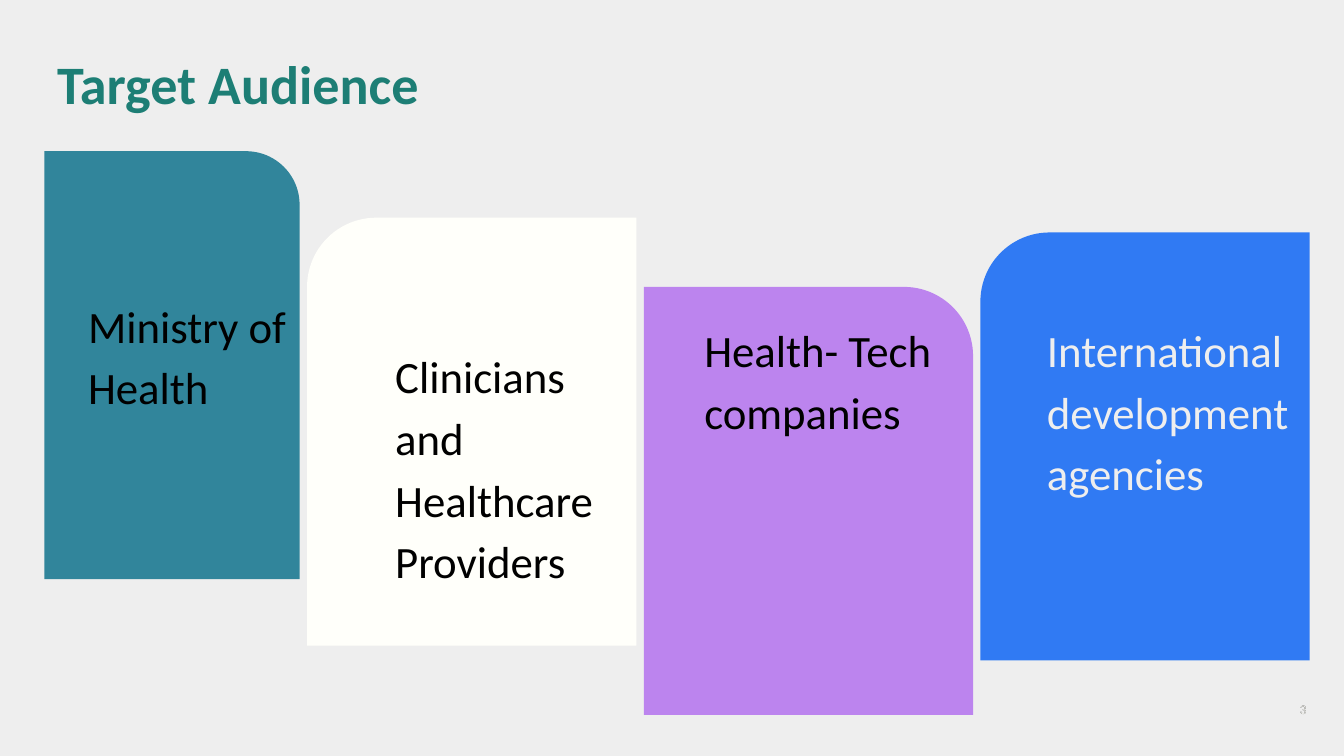
"""Build the Target Audience slide with four staggered audience cards."""
from typing import NamedTuple

from pptx import Presentation
from pptx.dml.color import RGBColor
from pptx.enum.shapes import MSO_SHAPE
from pptx.enum.text import MSO_ANCHOR, MSO_AUTO_SIZE, PP_ALIGN
from pptx.oxml.ns import qn
from pptx.util import Emu, Pt

EMU_PER_PX = 4572
FONT = "Calibri"
CARD_SHAPE = MSO_SHAPE.ROUND_1_RECTANGLE
TOP, MIDDLE = MSO_ANCHOR.TOP, MSO_ANCHOR.MIDDLE
LEFT, RIGHT = PP_ALIGN.LEFT, PP_ALIGN.RIGHT
NO_AUTOFIT = MSO_AUTO_SIZE.NONE

PAGE_GREY = RGBColor(0xEE, 0xEE, 0xEE)
BLACK = RGBColor(0x00, 0x00, 0x00)
GREEN = RGBColor(0x1D, 0x7E, 0x75)
TEAL = RGBColor(0x31, 0x85, 0x9B)
IVORY = RGBColor(0xFF, 0xFF, 0xFA)
PURPLE = RGBColor(0xBC, 0x84, 0xEE)
BLUE = RGBColor(0x30, 0x7A, 0xF3)

CARD_HEIGHT = 637
LABEL_WIDTH, LABEL_HEIGHT = 490, 556


class Area(NamedTuple):
    left: int
    top: int
    width: int
    height: int


class Insets(NamedTuple):
    left: int
    top: int
    right: int
    bottom: int


class Style(NamedTuple):
    size: int
    color: RGBColor
    line_spacing: float = 1.0
    bold: bool = False
    align: PP_ALIGN = LEFT
    anchor: MSO_ANCHOR = TOP


class Card(NamedTuple):
    area: Area
    fill: RGBColor
    mirrored: bool
    text: str
    label_left: int
    label_top: int
    inset_left: int = 40
    inset_top: int = 0
    color: RGBColor = BLACK


EVEN_INSETS = Insets(20, 20, 20, 20)
CARDS = [
    Card(Area(66, 225, 380, CARD_HEIGHT), TEAL, False,
         "Ministry of Health", 66, 432, inset_left=65),
    Card(Area(457, 324, 490, CARD_HEIGHT), IVORY, True,
         "Clinicians and Healthcare Providers", 498, 468, inset_left=90, inset_top=39),
    Card(Area(1459, 346, 490, CARD_HEIGHT), BLUE, True,
         "International development agencies", 1518, 468, color=PAGE_GREY),
    Card(Area(958, 427, 490, CARD_HEIGHT), PURPLE, False,
         "Health- Tech companies", 1008, 468),
]


def px(length: int) -> Emu:
    """Convert pixels to EMU."""
    return Emu(length * EMU_PER_PX)


def set_text(box, text: str, insets: Insets, style: Style) -> None:
    """Write one formatted paragraph into a box."""
    frame = box.text_frame
    frame.word_wrap = True
    frame.auto_size = NO_AUTOFIT
    frame.vertical_anchor = style.anchor
    frame.margin_left, frame.margin_top, frame.margin_right, frame.margin_bottom = map(px, insets)
    para = frame.paragraphs[0]
    para.text = text
    para.alignment = style.align
    para.line_spacing = style.line_spacing
    para.font.name = FONT
    para.font.size = Pt(style.size)
    para.font.bold = style.bold
    para.font.color.rgb = style.color


def add_text(page, area: Area, text: str, insets: Insets, style: Style) -> None:
    """Add a text box."""
    set_text(page.shapes.add_textbox(*map(px, area)), text, insets, style)


def add_panel(page, card: Card) -> None:
    """Add the coloured panel of a card."""
    panel = page.shapes.add_shape(CARD_SHAPE, *map(px, card.area))
    panel.adjustments[0] = 0.21
    panel.shadow.inherit = False
    panel.fill.solid()
    panel.fill.fore_color.rgb = card.fill
    panel.line.fill.background()
    if card.mirrored:
        panel.element.spPr.find(qn("a:xfrm")).set("flipH", "1")


def add_label(page, card: Card) -> None:
    """Add the label of a card."""
    area = Area(card.label_left, card.label_top, LABEL_WIDTH, LABEL_HEIGHT)
    insets = Insets(card.inset_left, card.inset_top, 40, 40)
    add_text(page, area, card.text, insets, Style(24, card.color, 1.15))


def add_title(page, text: str) -> None:
    """Place and format the title placeholder."""
    title = page.shapes.title
    title.left, title.top, title.width, title.height = map(px, Area(65, 66, 1098, 128))
    set_text(title, text, EVEN_INSETS, Style(29, GREEN, 0.9, bold=True))


def add_page_number(page, text: str) -> None:
    """Add the page number, an ivory figure over a black one."""
    for color in (BLACK, IVORY):
        add_text(page, Area(1844, 1012, 120, 86), text, EVEN_INSETS,
                 Style(7, color, align=RIGHT, anchor=MIDDLE))


def main() -> None:
    """Build and save the deck."""
    deck = Presentation()
    deck.slide_width, deck.slide_height = px(2000), px(1125)
    page = deck.slides.add_slide(deck.slide_layouts.get_by_name("Title Only"))
    page.background.fill.solid()
    page.background.fill.fore_color.rgb = PAGE_GREY
    add_page_number(page, "3")
    for card in CARDS:
        add_panel(page, card)
    add_title(page, "Target Audience")
    for card in CARDS:
        add_label(page, card)
    deck.save("out.pptx")


if __name__ == "__main__":
    main()
